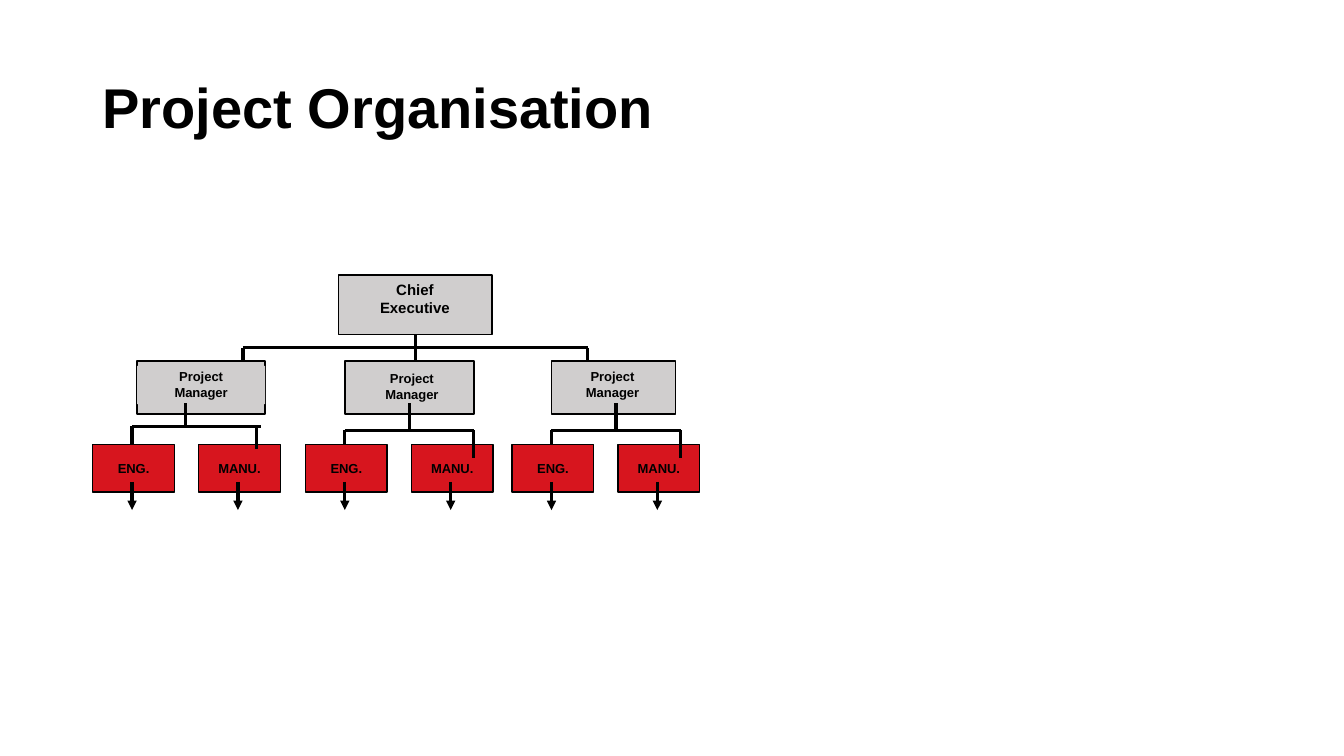
from dataclasses import dataclass

from pptx import Presentation
from pptx.dml.color import RGBColor
from pptx.enum.shapes import MSO_CONNECTOR as Connector, MSO_SHAPE as Preset
from pptx.enum.text import MSO_ANCHOR as Anchor, MSO_AUTO_SIZE as AutoSize, PP_ALIGN as Align
from pptx.oxml.ns import qn
from pptx.oxml.xmlchemy import OxmlElement
from pptx.util import Inches, Pt

BLACK = RGBColor(0x00, 0x00, 0x00)
GREY = RGBColor(0xD0, 0xCE, 0xCE)
RED = RGBColor(0xD7, 0x15, 0x1E)

MANAGER_TOP, MANAGER_HEIGHT = 3.58, 0.53
TRUNK_X, TRUNK_Y = 4.12, 3.45
STEM_TOP = 4.0
UNIT_TOP, UNIT_WIDTH, UNIT_HEIGHT = 4.41, 0.81, 0.47
UNIT_STEP, UNIT_OFFSET = 1.05, 0.39
BAR_WIDTH = 1.28
ARROW_TOP, ARROW_BOTTOM = 4.78, 5.06


@dataclass
class Rect:
    left: float
    top: float
    width: float
    height: float

    def lengths(self):
        return [Inches(v) for v in (self.left, self.top, self.width, self.height)]


@dataclass
class Team:
    manager: Rect
    label: Rect
    unit_x: float
    bar_y: float = 4.27
    stem_shift: float = 0.64
    drop_shift: float = BAR_WIDTH
    drop: float = 0.27


def manager_rect(left: float, width: float) -> Rect:
    return Rect(left, MANAGER_TOP, width, MANAGER_HEIGHT)


CHIEF = Rect(3.36, 2.73, 1.52, 0.59)
CHIEF_LABEL = Rect(3.57, 2.75, 1.09, 0.43)
TEAMS = [
    Team(manager_rect(1.36, 1.27), Rect(1.36, 3.63, 1.27, 0.38), 1.31,
         bar_y=4.23, stem_shift=0.53, drop_shift=1.23, drop=0.22),
    Team(manager_rect(3.42, 1.28), Rect(3.54, 3.65, 1.09, 0.38), 3.42),
    Team(manager_rect(5.47, 1.23), Rect(5.53, 3.63, 1.09, 0.38), 5.47),
]

LABEL_FRAME = dict(word_wrap=True, auto_size=AutoSize.SHAPE_TO_FIT_TEXT,
                   vertical_anchor=Anchor.TOP,
                   margin_left=Inches(0.07), margin_right=Inches(0.07),
                   margin_top=Inches(0.03), margin_bottom=Inches(0.03))
UNIT_FRAME = dict(word_wrap=False, vertical_anchor=Anchor.MIDDLE)
TITLE_FRAME = dict(word_wrap=True, vertical_anchor=Anchor.MIDDLE)


def write(shape, lines: list[str], size: float, frame: dict,
          align=Align.CENTER, spacing: float = 1.0) -> None:
    text = shape.text_frame
    for name, value in frame.items():
        setattr(text, name, value)
    for index, line in enumerate(lines):
        para = text.paragraphs[0] if index == 0 else text.add_paragraph()
        para.alignment = align
        para.line_spacing = spacing
        span = para.add_run()
        span.text = line
        for name, value in dict(name="Arial", size=Pt(size), bold=True).items():
            setattr(span.font, name, value)
        span.font.color.rgb = BLACK


def add_box(page, rect: Rect, fill: RGBColor, outlined: bool = True):
    box = page.shapes.add_shape(Preset.RECTANGLE, *rect.lengths())
    box.shadow.inherit = False
    box.fill.solid()
    box.fill.fore_color.rgb = fill
    if outlined:
        box.line.color.rgb = BLACK
        box.line.width = Pt(1)
    else:
        box.line.fill.background()
    return box


def add_label(page, rect: Rect, lines: list[str], size: float) -> None:
    write(add_box(page, rect, GREY, outlined=False), lines, size, LABEL_FRAME)


def add_unit(page, name: str, x: float) -> None:
    rect = Rect(x - UNIT_OFFSET, UNIT_TOP, UNIT_WIDTH, UNIT_HEIGHT)
    write(add_box(page, rect, RED), [name], 9.3, UNIT_FRAME)


def add_line(page, x1: float, y1: float, x2: float, y2: float, arrow: bool = False):
    line = page.shapes.add_connector(
        Connector.STRAIGHT, Inches(x1), Inches(y1), Inches(x2), Inches(y2))
    line.line.color.rgb = BLACK
    line.line.width = Pt(2.25)
    if arrow:
        head = OxmlElement("a:tailEnd")
        head.set("type", "triangle")
        line.line._get_or_add_ln().append(head)
    properties = line._element.find(qn("p:spPr"))
    properties.append(OxmlElement("a:effectLst"))
    return line


def add_team_units(page, team: Team) -> None:
    x, y = team.unit_x, team.bar_y
    add_unit(page, "MANU.", x + UNIT_STEP)
    add_line(page, x, y, x + BAR_WIDTH, y)
    add_line(page, x + team.stem_shift, STEM_TOP, x + team.stem_shift, y)
    for drop_x in (x + team.drop_shift, x):
        add_line(page, drop_x, y, drop_x, y + team.drop)
    add_unit(page, "ENG.", x)
    for arrow_x in (x, x + UNIT_STEP):
        add_line(page, arrow_x, ARROW_TOP, arrow_x, ARROW_BOTTOM, arrow=True)


def main() -> None:
    deck = Presentation()
    deck.slide_width, deck.slide_height = Inches(13.33), Inches(7.5)
    page = deck.slides.add_slide(deck.slide_layouts[6])

    # Title
    title = page.shapes.add_textbox(*Rect(0.92, 0.24, 6.43, 1.71).lengths())
    write(title, ["Project Organisation"], 40, TITLE_FRAME, Align.LEFT, 0.9)

    # Chief executive and project managers
    chief = add_box(page, CHIEF, GREY)
    for team in TEAMS:
        add_box(page, team.manager, GREY)
    add_label(page, CHIEF_LABEL, ["Chief", "Executive"], 10.7)
    for team in TEAMS:
        add_label(page, team.label, ["Project", "Manager"], 9.3)

    # Lines from the chief executive to the managers
    left_x, right_x = 2.41, 5.83
    add_line(page, left_x, TRUNK_Y, right_x, TRUNK_Y)
    trunk = add_line(page, TRUNK_X, CHIEF.top + CHIEF.height, TRUNK_X, TRUNK_Y)
    trunk.begin_connect(chief, 2)
    for x in (left_x, TRUNK_X, right_x):
        add_line(page, x, TRUNK_Y, x, MANAGER_TOP)

    # Units below each manager
    for team in TEAMS:
        add_team_units(page, team)

    deck.save("out.pptx")


if __name__ == "__main__":
    main()
